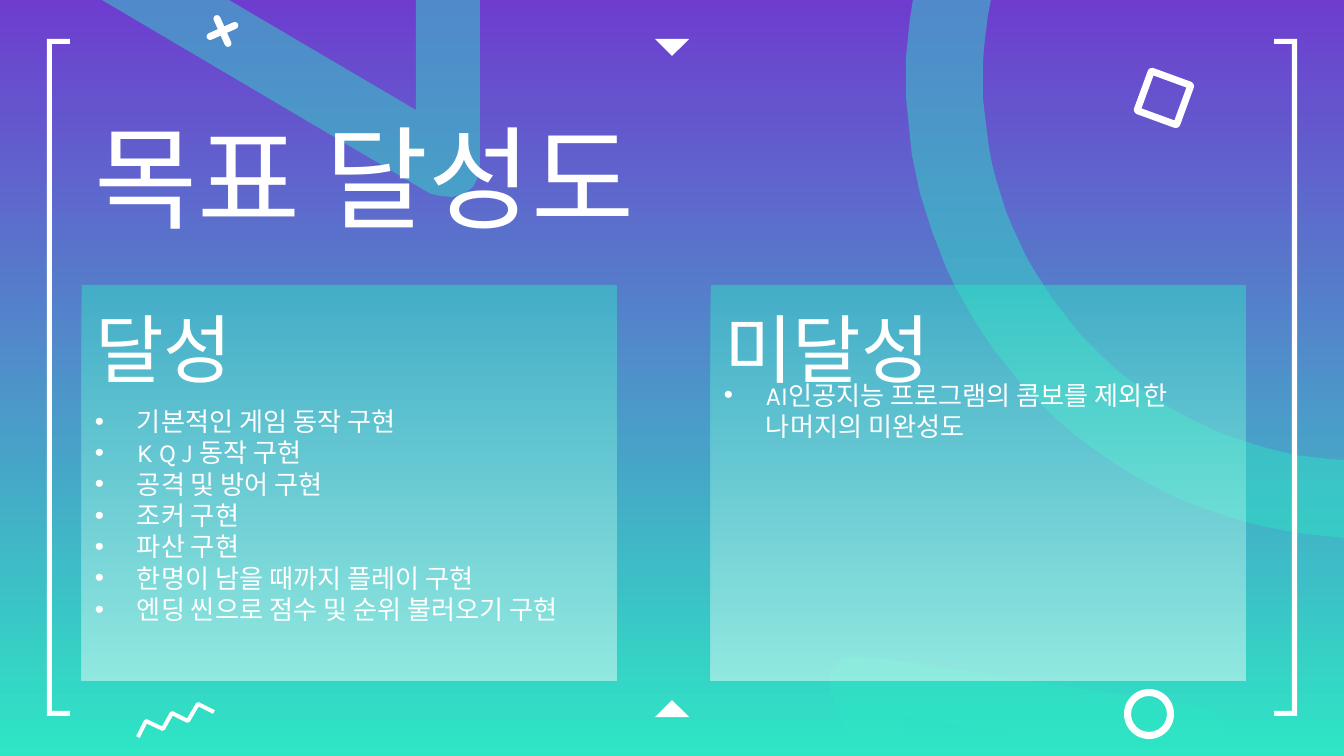
from math import acos, asin, cos, pi, sin

from lxml import etree
from pptx import Presentation
from pptx.dml.color import RGBColor
from pptx.enum.shapes import MSO_SHAPE
from pptx.enum.text import MSO_ANCHOR, MSO_AUTO_SIZE, PP_ALIGN
from pptx.oxml.ns import qn
from pptx.util import Pt

RECTANGLE = MSO_SHAPE.RECTANGLE
ROUNDED = MSO_SHAPE.ROUNDED_RECTANGLE
DONUT = MSO_SHAPE.DONUT
TOP, BOTTOM = MSO_ANCHOR.TOP, MSO_ANCHOR.BOTTOM
NO_FIT = MSO_AUTO_SIZE.NONE
LEFT = PP_ALIGN.LEFT

PX = 6804
WIDTH, HEIGHT = 1344, 756
PURPLE, TEAL, WHITE = "6E3DCF", "2EE6C4", "FFFFFF"


def paint(shape, *colors, opacity=100):
    shape.shadow.inherit = False
    shape.line.fill.background()
    if len(colors) == 1:
        shape.fill.solid()
        shape.fill.fore_color.rgb = RGBColor.from_string(colors[0])
    else:
        shape.fill.gradient()
        shape.fill.gradient_angle = 270
        for stop, color in zip(shape.fill.gradient_stops, colors):
            stop.color.rgb = RGBColor.from_string(color)
    if opacity < 100:
        for color in shape._element.spPr.iter(qn("a:srgbClr")):
            etree.SubElement(color, qn("a:alpha"), val=str(opacity * 1000))


def write(box, *lines, size, font, bullet=False, anchor=TOP):
    frame = box.text_frame
    frame.word_wrap = True
    frame.auto_size = NO_FIT
    frame.vertical_anchor = anchor
    frame.margin_left = frame.margin_right = 13 * PX
    frame.margin_top = frame.margin_bottom = 13 * PX
    for index, line in enumerate(lines):
        para = frame.add_paragraph() if index else frame.paragraphs[0]
        para.alignment = LEFT
        span = para.add_run()
        span.text = line
        span.font.size = Pt(size)
        span.font.name = font
        span.font.color.rgb = RGBColor.from_string(WHITE)
        if bullet:
            props = para._p.get_or_add_pPr()
            props.set("marL", str(42 * PX))
            props.set("indent", str(-42 * PX))
            color = etree.SubElement(props, qn("a:buClr"))
            etree.SubElement(color, qn("a:srgbClr"), val=WHITE)
            etree.SubElement(props, qn("a:buFont"), typeface="Arial")
            etree.SubElement(props, qn("a:buChar"), char="•")


deck = Presentation()
deck.slide_width, deck.slide_height = WIDTH * PX, HEIGHT * PX
page = deck.slides.add_slide(deck.slide_layouts[5])
shapes = page.shapes
title = shapes.title

backdrop = page.background.fill
backdrop.gradient()
backdrop.gradient_angle = 270
for stop, color in zip(backdrop.gradient_stops, (PURPLE, TEAL)):
    stop.color.rgb = RGBColor.from_string(color)

center_x, center_y = 1365, 79
arc = []
for radius, order in ((459, 1), (382, -1)):
    start = acos((WIDTH - center_x) / radius)
    end = pi + asin(center_y / radius)
    angles = [start + (end - start) * step / 40 for step in range(41)]
    arc += [(center_x + radius * cos(angle), center_y + radius * sin(angle))
            for angle in angles[::order]]

triangle = [(856, 756), (831, 692), (829, 675), (835, 665), (844, 657), (860, 655),
            (1203, 707), (1217, 713), (1224, 724), (1224, 743), (1217, 756),
            (1147, 756), (1148, 754), (899, 716), (915, 756)]
corner = [(102, 0), (229, 0), (416, 110), (416, 0), (480, 0), (480, 165), (478, 177),
          (473, 187), (464, 194), (452, 197), (441, 196), (431, 194)]
pointer = [(655, 39), (672, 56), (689, 39)]
bracket = [(70, 39), (47, 39), (47, 716), (70, 716), (70, 711), (52, 711), (52, 44), (70, 44)]

outlines = [(points, TEAL, 45) for points in (arc, triangle, corner)]
outlines += [(points, WHITE, 100) for points in (
    pointer, [(x, HEIGHT - y) for x, y in pointer],
    bracket, [(WIDTH - x, y) for x, y in bracket])]
for points, color, opacity in outlines:
    builder = shapes.build_freeform(*points[0], scale=PX)
    builder.add_line_segments(points[1:], close=True)
    paint(builder.convert_to_shape(), color, opacity=opacity)

for angle in (-24, 66):
    bar = shapes.add_shape(ROUNDED, 219 * PX, 14 * PX, 7 * PX, 34 * PX)
    bar.adjustments[0] = 0.5
    bar.rotation = angle
    paint(bar, WHITE)

ring = shapes.add_shape(DONUT, 1124 * PX, 689 * PX, 50 * PX, 50 * PX)
ring.adjustments[0] = 0.14
paint(ring, WHITE)

square = shapes.add_shape(ROUNDED, 1143 * PX, 77 * PX, 42 * PX, 42 * PX)
square.adjustments[0] = 0.03
square.rotation = 20
zigzag = shapes.build_freeform(138, 737, scale=PX)
zigzag.add_line_segments(
    [(146, 721), (163, 729), (172, 713), (188, 721), (198, 704), (214, 712)], close=False)
for shape, thickness in ((square, 7), (zigzag.convert_to_shape(), 4)):
    shape.shadow.inherit = False
    shape.fill.background()
    shape.line.color.rgb = RGBColor.from_string(WHITE)
    shape.line.width = thickness * PX
    etree.SubElement(shape.line._ln, qn("a:round"))

title.left, title.top, title.width, title.height = 81 * PX, 95 * PX, 804 * PX, 163 * PX
write(title, "목표 달성도", size=60, font="Calibri")
shapes._spTree.append(title._element)

achieved = ["기본적인 게임 동작 구현", "K Q J 동작 구현", "공격 및 방어 구현", "조커 구현",
            "파산 구현", "한명이 남을 때까지 플레이 구현",
            "엔딩 씬으로 점수 및 순위 불러오기 구현"]
missed = ["AI인공지능 프로그램의 콤보를 제외한 나머지의 미완성도"]
for left, heading, items, top, bottom in (
        (82, "달성", achieved, 378, 638), (711, "미달성", missed, 360, 455)):
    card = shapes.add_shape(RECTANGLE, left * PX, 285 * PX, 535 * PX, 396 * PX)
    paint(card, TEAL, WHITE, opacity=45)
    label = shapes.add_textbox(left * PX, 290 * PX, 254 * PX, 121 * PX)
    write(label, heading, size=40, font="Calibri")
    body = shapes.add_textbox(left * PX, top * PX, 535 * PX, (bottom - top) * PX)
    write(body, *items, size=14, font="Karla", bullet=True, anchor=BOTTOM)

deck.save("out.pptx")
